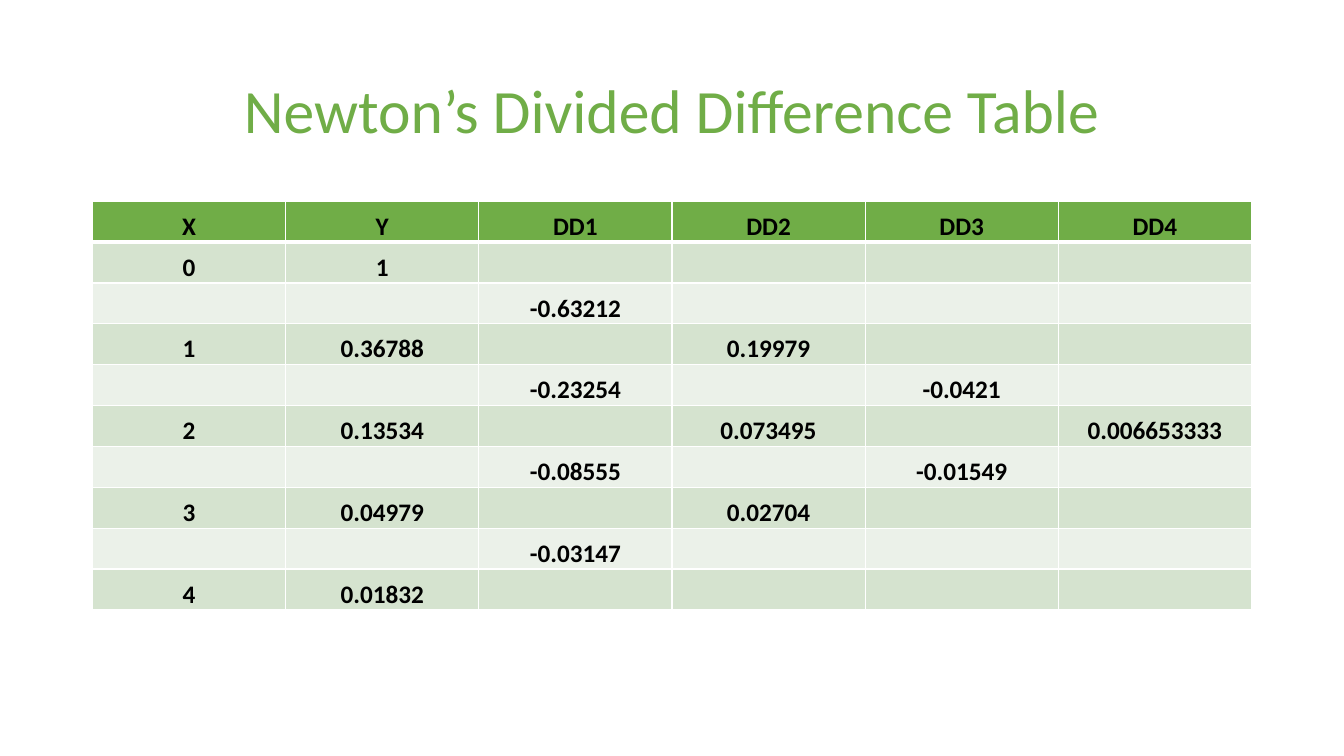
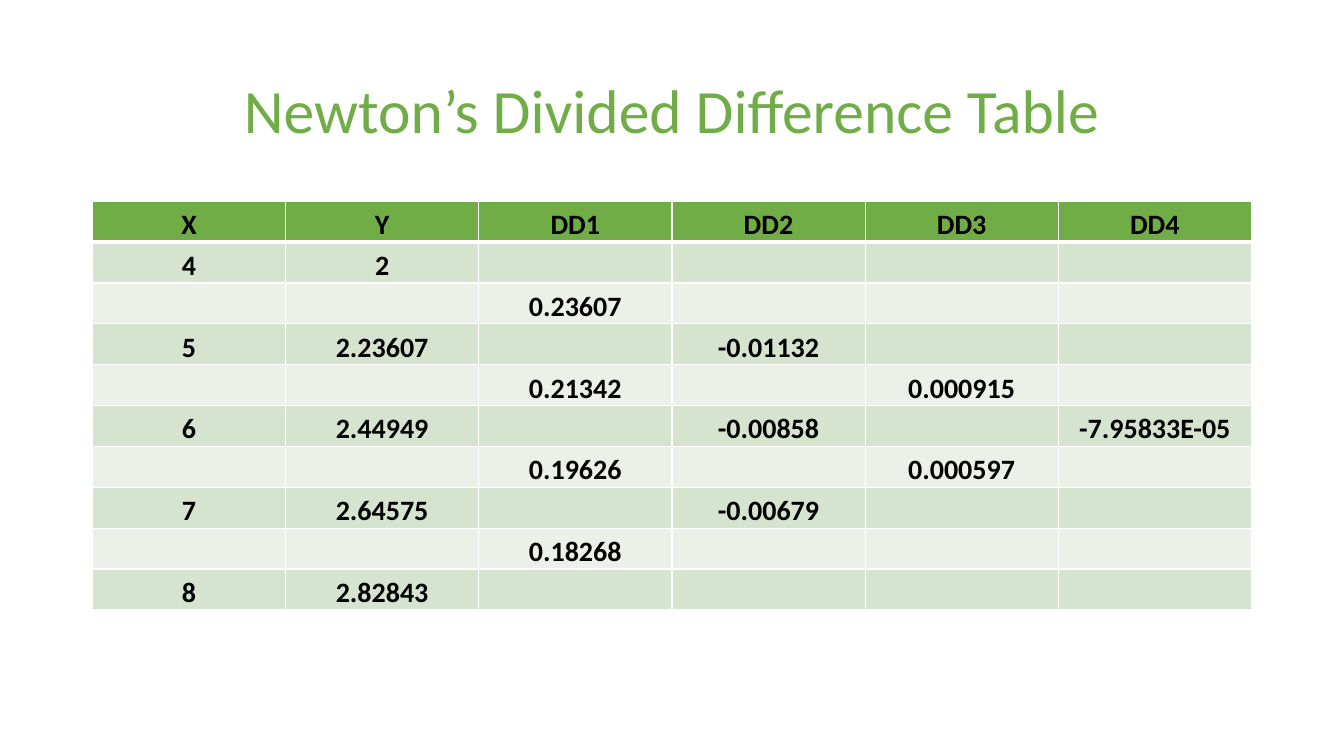
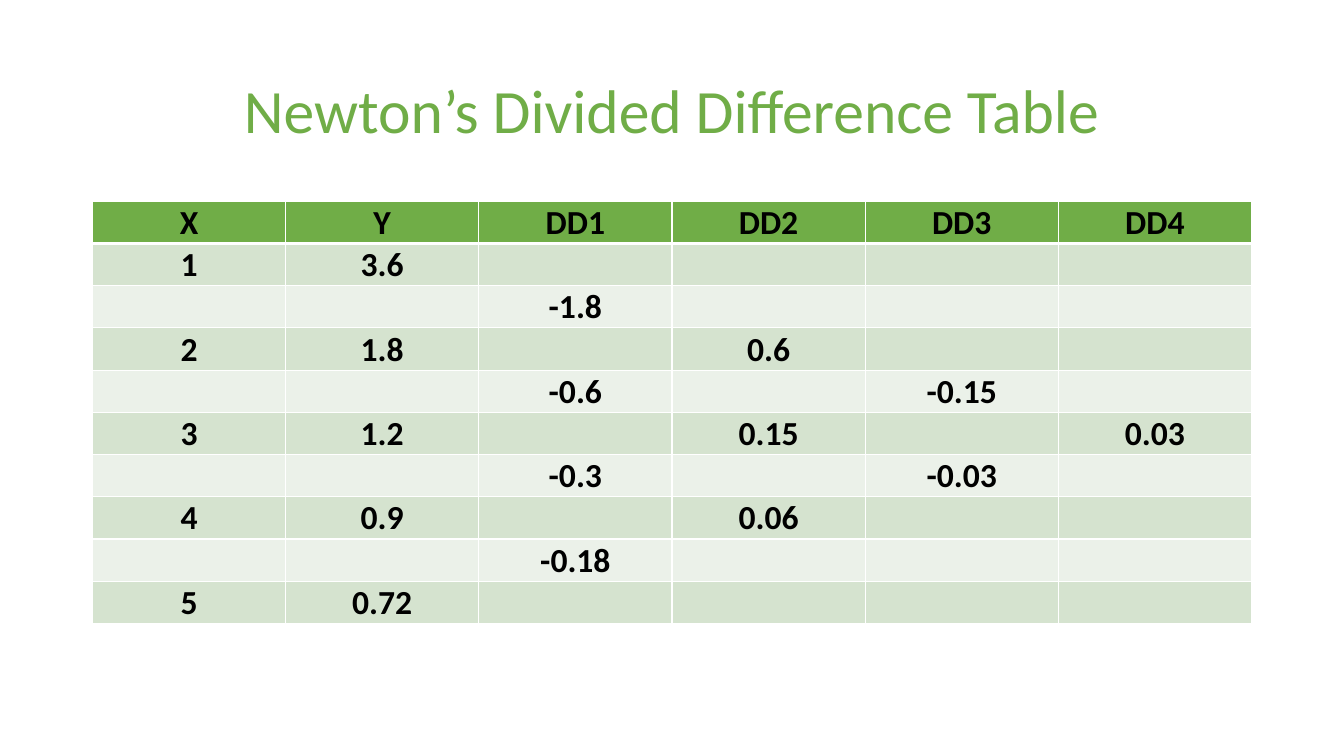
"""Build three slides of Newton's divided difference tables."""
from dataclasses import dataclass

from lxml import etree
from pptx import Presentation
from pptx.dml.color import RGBColor
from pptx.enum import text
from pptx.oxml import ns
from pptx.util import Cm, Pt

TITLE = "Newton’s Divided Difference Table"
HEADERS = ("X", "Y", "DD1", "DD2", "DD3", "DD4")
GREEN, PALE, PALER, WHITE, BLACK = "70AD47", "D5E3CF", "EBF1E9", "FFFFFF", "000000"
FONT = "Calibri"
LEFT, WIDTH = Cm(2.33), Cm(29.21)
TITLE_TOP, TITLE_HEIGHT = Cm(1.01), Cm(3.68)
TABLE_TOP = Cm(5.07)
ROWS = 10
THIN, THICK = Pt(1), Pt(3)
CELL_FORMAT = {
    "margin_left": Cm(0.03),
    "margin_right": Cm(0.03),
    "margin_top": Cm(0.03),
    "margin_bottom": Cm(0),
    "vertical_anchor": text.MSO_ANCHOR.BOTTOM,
}


@dataclass(frozen=True)
class DifferenceTable:
    """Points, values and successive differences, one string per column."""

    size: int
    row_height: float
    columns: tuple[str, ...]


TABLES = (
    DifferenceTable(18, 1.03, (
        "0 1 2 3 4",
        "1 0.36788 0.13534 0.04979 0.01832",
        "-0.63212 -0.23254 -0.08555 -0.03147",
        "0.19979 0.073495 0.02704",
        "-0.0421 -0.01549",
        "0.006653333",
    )),
    DifferenceTable(20, 1.03, (
        "4 5 6 7 8",
        "2 2.23607 2.44949 2.64575 2.82843",
        "0.23607 0.21342 0.19626 0.18268",
        "-0.01132 -0.00858 -0.00679",
        "0.000915 0.000597",
        "-7.95833E-05",
    )),
    DifferenceTable(24, 1.04, (
        "1 2 3 4 5",
        "3.6 1.8 1.2 0.9 0.72",
        "-1.8 -0.6 -0.3 -0.18",
        "0.6 0.15 0.06",
        "-0.15 -0.03",
        "0.03",
    )),
)


def color(value: str) -> RGBColor:
    """Turn a hex string into a colour."""
    return RGBColor.from_string(value)


def set_attributes(obj, values: dict) -> None:
    """Set each named attribute of an object."""
    for name, value in values.items():
        setattr(obj, name, value)


def write(p, words: str, size: int, fill: str, bold: bool) -> None:
    """Put one centred run into a paragraph."""
    p.alignment = text.PP_ALIGN.CENTER
    r = p.add_run()
    r.text = words
    set_attributes(r.font, {"name": FONT, "size": Pt(size), "bold": bold})
    r.font.color.rgb = color(fill)


def add_title(s) -> None:
    """Place and format the title placeholder."""
    sp = s.shapes.title
    set_attributes(sp, {"left": LEFT, "top": TITLE_TOP, "width": WIDTH, "height": TITLE_HEIGHT})
    tf = sp.text_frame
    set_attributes(tf, {
        "word_wrap": True,
        "auto_size": text.MSO_AUTO_SIZE.NONE,
        "vertical_anchor": text.MSO_ANCHOR.MIDDLE,
    })
    p = tf.paragraphs[0]
    p.line_spacing = 0.9
    write(p, TITLE, 44, GREEN, False)


def add_borders(cell, row: int) -> None:
    """Draw white cell edges, thicker below the header row."""
    widths = {
        "lnL": THIN,
        "lnR": THIN,
        "lnT": THICK if row == 1 else THIN,
        "lnB": THICK if row == 0 else THIN,
    }
    tc_pr = cell._tc.get_or_add_tcPr()
    for edge, width in widths.items():
        ln = etree.SubElement(tc_pr, ns.qn(f"a:{edge}"), w=str(int(width)))
        fill = etree.SubElement(ln, ns.qn("a:solidFill"))
        etree.SubElement(fill, ns.qn("a:srgbClr"), val=WHITE)


def stagger(table: DifferenceTable) -> dict[tuple[int, int], str]:
    """Map each cell to its text, every difference half a step lower."""
    words = {(0, col): header for col, header in enumerate(HEADERS)}
    for col, column in enumerate(table.columns):
        first = max(col, 1)
        for i, value in enumerate(column.split()):
            words[first + 2 * i, col] = value
    return words


def add_difference_table(s, table: DifferenceTable) -> None:
    """Draw one staggered table of divided differences."""
    height = Cm(table.row_height)
    grid = s.shapes.add_table(ROWS, len(HEADERS), LEFT, TABLE_TOP, WIDTH, height * ROWS).table
    words = stagger(table)
    for row in range(ROWS):
        grid.rows[row].height = height
        fill = GREEN if row == 0 else PALE if row % 2 else PALER
        for col in range(len(HEADERS)):
            cell = grid.cell(row, col)
            set_attributes(cell, CELL_FORMAT)
            add_borders(cell, row)
            cell.fill.solid()
            cell.fill.fore_color.rgb = color(fill)
            if (row, col) in words:
                write(cell.text_frame.paragraphs[0], words[row, col], table.size, BLACK, True)


def main() -> None:
    """Build and save the presentation."""
    prs = Presentation()
    set_attributes(prs, {"slide_width": Cm(33.87), "slide_height": Cm(19.05)})
    for table in TABLES:
        s = prs.slides.add_slide(prs.slide_layouts[5])
        add_title(s)
        add_difference_table(s, table)
    prs.save("out.pptx")


if __name__ == "__main__":
    main()
